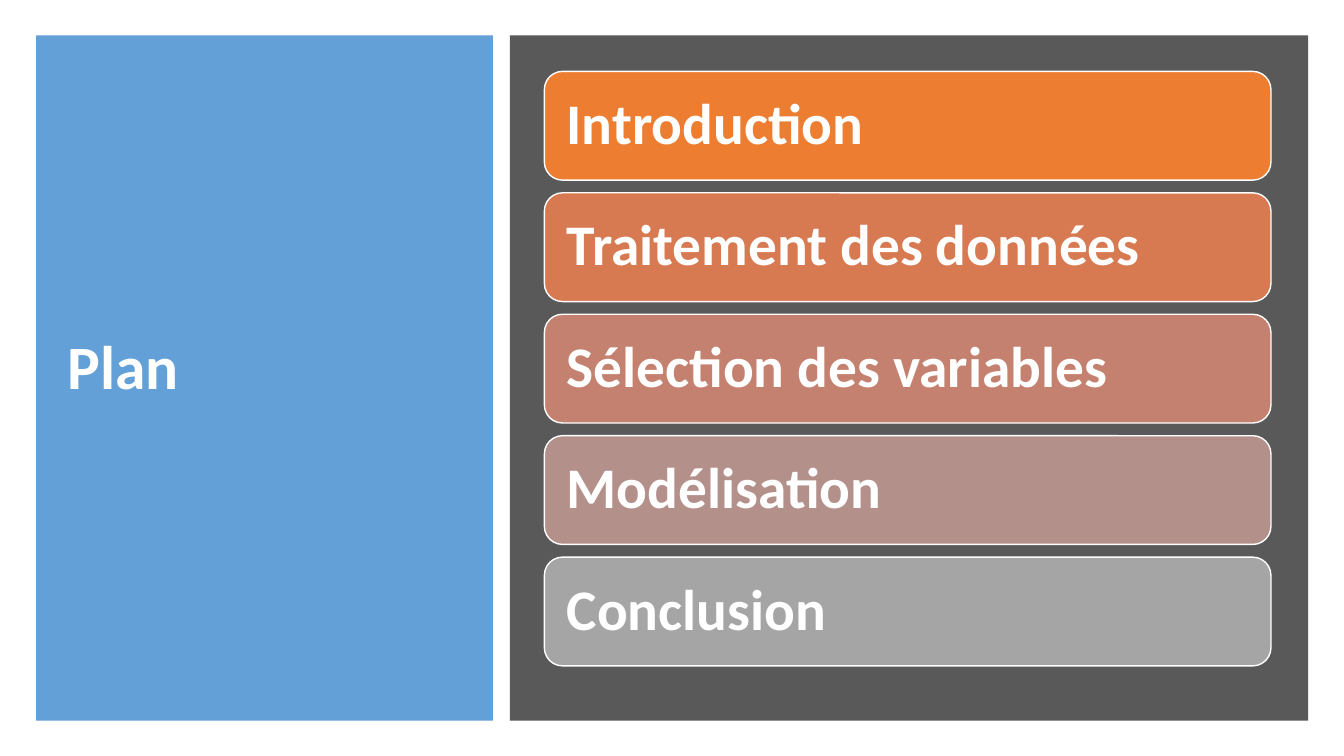
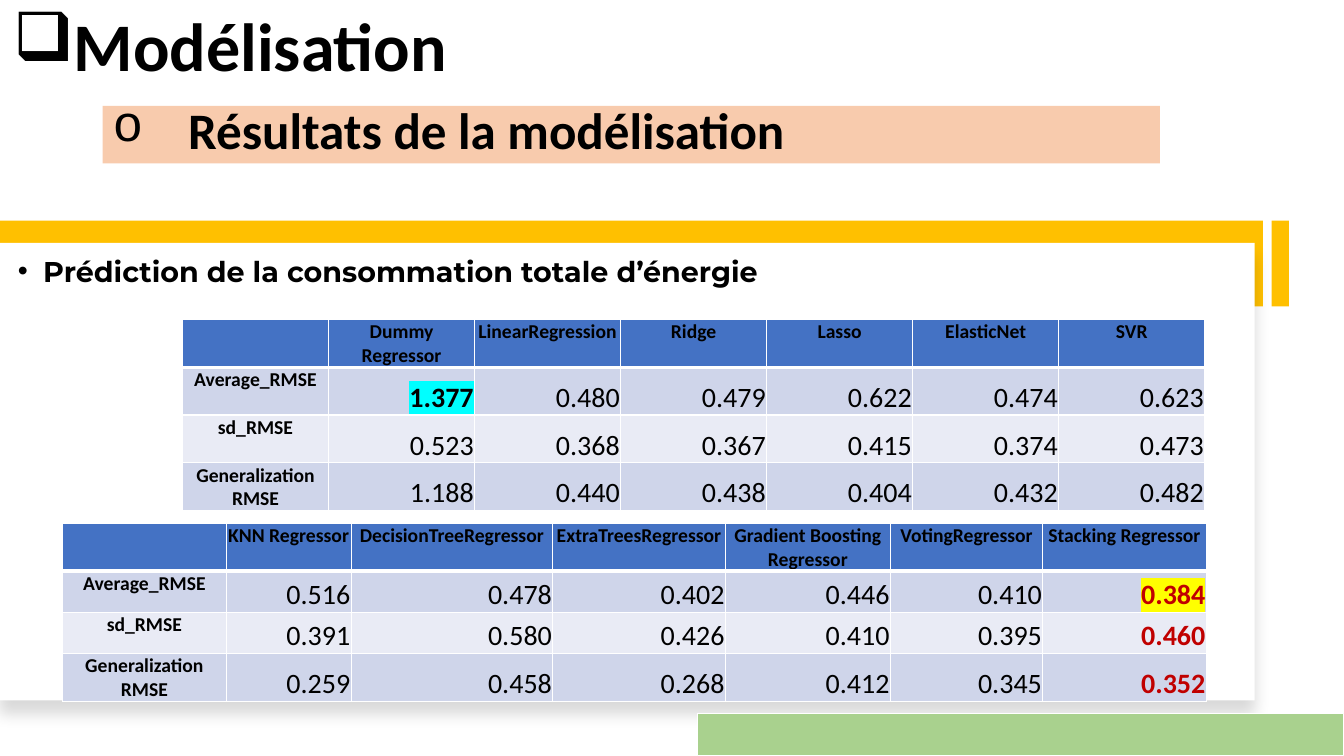
from pptx import Presentation
from pptx.dml.color import RGBColor
from pptx.enum.shapes import MSO_SHAPE as Shape
from pptx.enum.text import MSO_ANCHOR as Anchor, MSO_AUTO_SIZE as Fit, PP_ALIGN as Align
from pptx.oxml import parse_xml
from pptx.oxml.ns import nsdecls, qn
from pptx.util import Cm, Pt

WHITE, BLACK, RED = "FFFFFF", "000000", "C00000"
BLUE, GREY, GOLD, GREEN, PEACH = "5B9BD5", "595959", "FFC000", "A9D18E", "F8CBAD"
HEAD, BANDS = "4472C4", ("CFD5EA", "E9EBF5")
CYAN, YELLOW = "00FFFF", "FFFF00"

PLAN = [
    ("Introduction", "ED7D31"),
    ("Traitement des données", "D87A51"),
    ("Sélection des variables", "C48170"),
    ("Modélisation", "B4908B"),
    ("Conclusion", "A5A5A5"),
]

# marks: (row, column) -> (text colour, highlight)
TABLES = [
    {
        "at": (4.6, 8.05),
        "cols": [3.68] * 7,
        "rows": [1.2] * 4,
        "cells": [
            ["", "Dummy Regressor", "LinearRegression", "Ridge", "Lasso", "ElasticNet", "SVR"],
            ["Average_RMSE", "1.377", "0.480", "0.479", "0.622", "0.474", "0.623"],
            ["sd_RMSE", "0.523", "0.368", "0.367", "0.415", "0.374", "0.473"],
            ["Generalization RMSE", "1.188", "0.440", "0.438", "0.404", "0.432", "0.482"],
        ],
        "marks": {(1, 1): (BLACK, CYAN)},
    },
    {
        "at": (1.58, 13.18),
        "cols": [4.12, 3.15, 5.08, 4.35, 4.16, 3.84, 4.12],
        "rows": [1.2, 1.04, 1.04, 1.2],
        "cells": [
            ["", "KNN Regressor", "DecisionTreeRegressor", "ExtraTreesRegressor",
             "Gradient Boosting\nRegressor", "VotingRegressor", "Stacking Regressor"],
            ["Average_RMSE", "0.516", "0.478", "0.402", "0.446", "0.410", "0.384"],
            ["sd_RMSE", "0.391", "0.580", "0.426", "0.410", "0.395", "0.460"],
            ["Generalization RMSE", "0.259", "0.458", "0.268", "0.412", "0.345", "0.352"],
        ],
        "marks": {(1, 6): (RED, YELLOW), (2, 6): (RED, None), (3, 6): (RED, None)},
    },
]


def rgb(color):
    return RGBColor.from_string(color)


def xml(body):
    """Parse one DrawingML element given without its namespace."""
    tag, rest = body[:-2].split(" ", 1) if body.endswith("/>") else body.split(">", 1)
    if body.endswith("/>"):
        return parse_xml(f"{tag} {nsdecls('a')} {rest}/>")
    return parse_xml(f"{tag} {nsdecls('a')}>{rest}")


def style(frame, size, color, font="Calibri", bold=True, align=Align.LEFT):
    for para in frame.paragraphs:
        para.alignment = align
        for run in para.runs:
            face = run.font
            face.name, face.size, face.bold = font, Pt(size), bold
            face.color.rgb = rgb(color)


def bullet(para, char, indent=0, font=None):
    """Put a bullet before a paragraph, with a hanging indent in cm."""
    props = para._p.get_or_add_pPr()
    props.set("marL", str(Cm(indent)))
    props.set("indent", str(-Cm(indent)))
    if font:
        props.append(xml(f'<a:buFont typeface="{font}"/>'))
    props.append(xml(f'<a:buChar char="{char}"/>'))


def box(slide, at, fill, line=None, width=1, kind=Shape.RECTANGLE):
    shape = slide.shapes.add_shape(kind, *map(Cm, at))
    shape.shadow.inherit = False
    shape.fill.solid()
    shape.fill.fore_color.rgb = rgb(fill)
    if line:
        shape.line.color.rgb = rgb(line)
        shape.line.width = Pt(width)
    else:
        shape.line.fill.background()
    return shape


def head(slide, text, at, size, color, anchor):
    """Place and format the title placeholder."""
    title = slide.shapes.title
    title.left, title.top, title.width, title.height = map(Cm, at)
    frame = title.text_frame
    frame.text = text
    frame.auto_size = Fit.NONE
    frame.vertical_anchor = anchor
    frame.paragraphs[0].line_spacing = 0.9
    style(frame, size, color)
    return title


def border(cell, row):
    """White borders, thick between the header and the body."""
    props = cell._tc.get_or_add_tcPr()
    thick = {"T": row == 1, "B": row == 0}
    for i, side in enumerate("LRTB"):
        width = Pt(3 if thick.get(side) else 1)
        props.insert(i, xml(
            f'<a:ln{side} w="{width}"><a:solidFill><a:srgbClr val="{WHITE}"/>'
            f"</a:solidFill></a:ln{side}>"))


def grid(slide, data):
    cols, rows = data["cols"], data["rows"]
    size = (*data["at"], sum(cols), sum(rows))
    table = slide.shapes.add_table(len(rows), len(cols), *map(Cm, size)).table
    for col, width in zip(table.columns, cols):
        col.width = Cm(width)
    for row, height in zip(table.rows, rows):
        row.height = Cm(height)
    for r, line in enumerate(data["cells"]):
        for c, text in enumerate(line):
            cell = table.cell(r, c)
            cell.text = text
            cell.margin_left = cell.margin_right = cell.margin_top = Cm(0.02)
            cell.margin_bottom = 0
            cell.fill.solid()
            cell.fill.fore_color.rgb = rgb(BANDS[(r - 1) % 2] if r else HEAD)
            border(cell, r)
            frame = cell.text_frame
            if r == 0 or c == 0:
                cell.vertical_anchor = Anchor.TOP
                style(frame, 14, BLACK, align=Align.CENTER)
                continue
            cell.vertical_anchor = Anchor.BOTTOM
            color, glow = data["marks"].get((r, c), (BLACK, None))
            style(frame, 20, color, bold=(r, c) in data["marks"], align=Align.RIGHT)
            if glow:
                props = frame.paragraphs[0].runs[0]._r.get_or_add_rPr()
                props.find(qn("a:solidFill")).addnext(
                    xml(f'<a:highlight><a:srgbClr val="{glow}"/></a:highlight>'))


def agenda(slide):
    top, tall = 0.89, 17.27
    panel = box(slide, (0.91, top, 11.51, tall), BLUE)
    tint = panel.element.spPr.find(".//" + qn("a:srgbClr"))
    tint.append(xml('<a:alpha val="95000"/>'))
    title = head(slide, "Plan", (1.45, 1.63, 10.34, 15.34), 44, WHITE, Anchor.MIDDLE)
    panel.element.addnext(title.element)
    box(slide, (12.85, top, 20.12, tall), GREY)
    for i, (text, fill) in enumerate(PLAN):
        at = (13.72, 1.8 + i * 3.06, 18.31, 2.74)
        item = box(slide, at, fill, WHITE, kind=Shape.ROUNDED_RECTANGLE)
        frame = item.text_frame
        frame.text = text
        frame.margin_left = frame.margin_right = Cm(0.43)
        frame.vertical_anchor = Anchor.MIDDLE
        frame.paragraphs[0].line_spacing = 0.9
        style(frame, 41, WHITE)


def results(slide):
    top, tall = 5.56, 2.16
    box(slide, (32.05, top, 0.43, tall), GOLD)
    box(slide, (0, top, 31.83, tall), GOLD)
    card = box(slide, (0, 6.12, 31.62, 11.53), WHITE)
    card.element.spPr.find(qn("a:effectLst")).append(xml(
        f'<a:outerShdw blurRad="{Pt(11)}" dist="{Pt(10)}" dir="5400000">'
        f'<a:srgbClr val="{BLACK}"><a:alpha val="15000"/></a:srgbClr></a:outerShdw>'))

    note = slide.shapes.add_textbox(*map(Cm, (0.2, 6.25, 31.85, 1.14))).text_frame
    note.word_wrap = True
    note.vertical_anchor = Anchor.MIDDLE
    note.text = "Prédiction de la consommation totale d’énergie"
    style(note, 20.4, BLACK, font="Montserrat")
    bullet(note.paragraphs[0], "•", 0.64, "Arial")

    box(slide, (17.58, 17.98, 16.28, 1.07), GREEN, WHITE, 0.75)
    title = head(slide, "Modélisation", (0.08, 0.13, 25.65, 2.16), 48.6, BLACK, Anchor.BOTTOM)
    bullet(title.text_frame.paragraphs[0], "❑")

    band = box(slide, (2.59, 2.67, 26.64, 1.45), PEACH).text_frame
    band.text = "Résultats de la modélisation"
    band.vertical_anchor = Anchor.BOTTOM
    band.paragraphs[0].line_spacing = 0.7
    style(band, 36.5, BLACK)
    bullet(band.paragraphs[0], "o", 1.9, "Courier New")

    for data in TABLES:
        grid(slide, data)


def main():
    deck = Presentation()
    deck.slide_width, deck.slide_height = Cm(33.87), Cm(19.05)
    for build in (agenda, results):
        build(deck.slides.add_slide(deck.slide_layouts[5]))
    deck.save("out.pptx")


if __name__ == "__main__":
    main()
